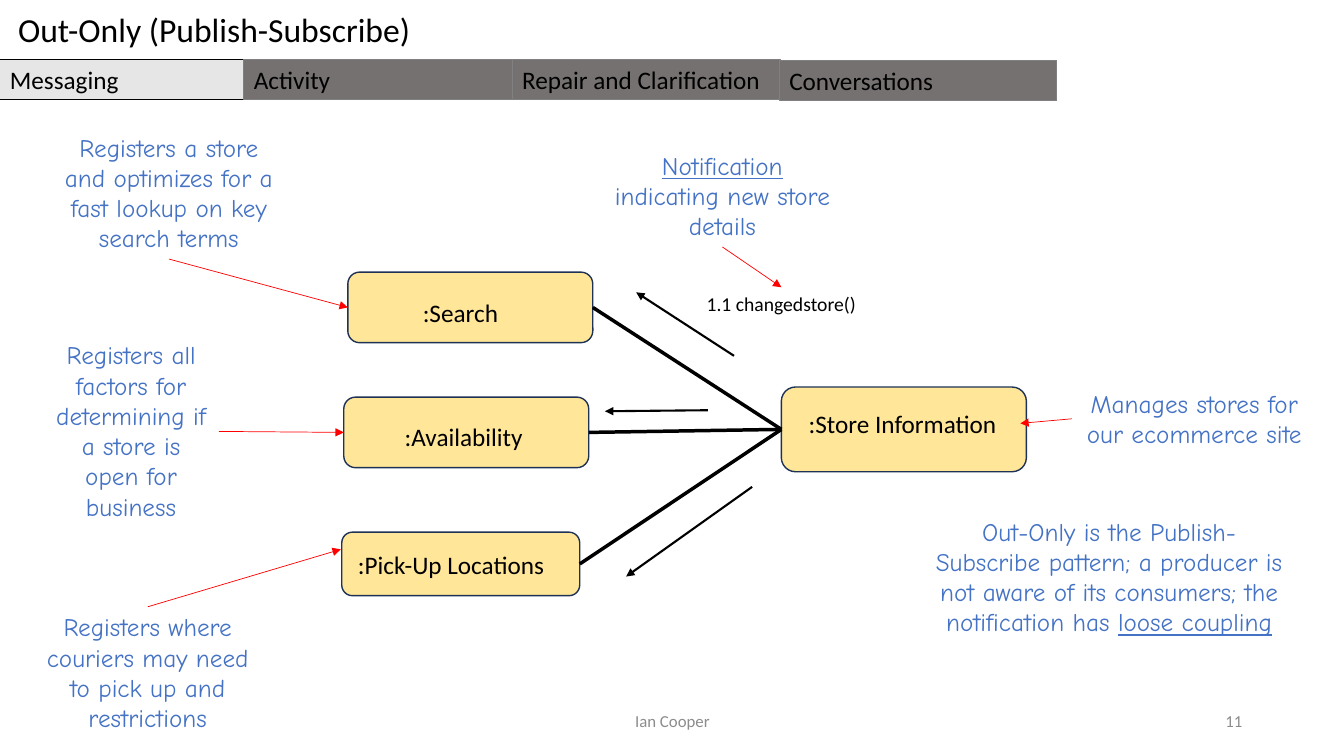
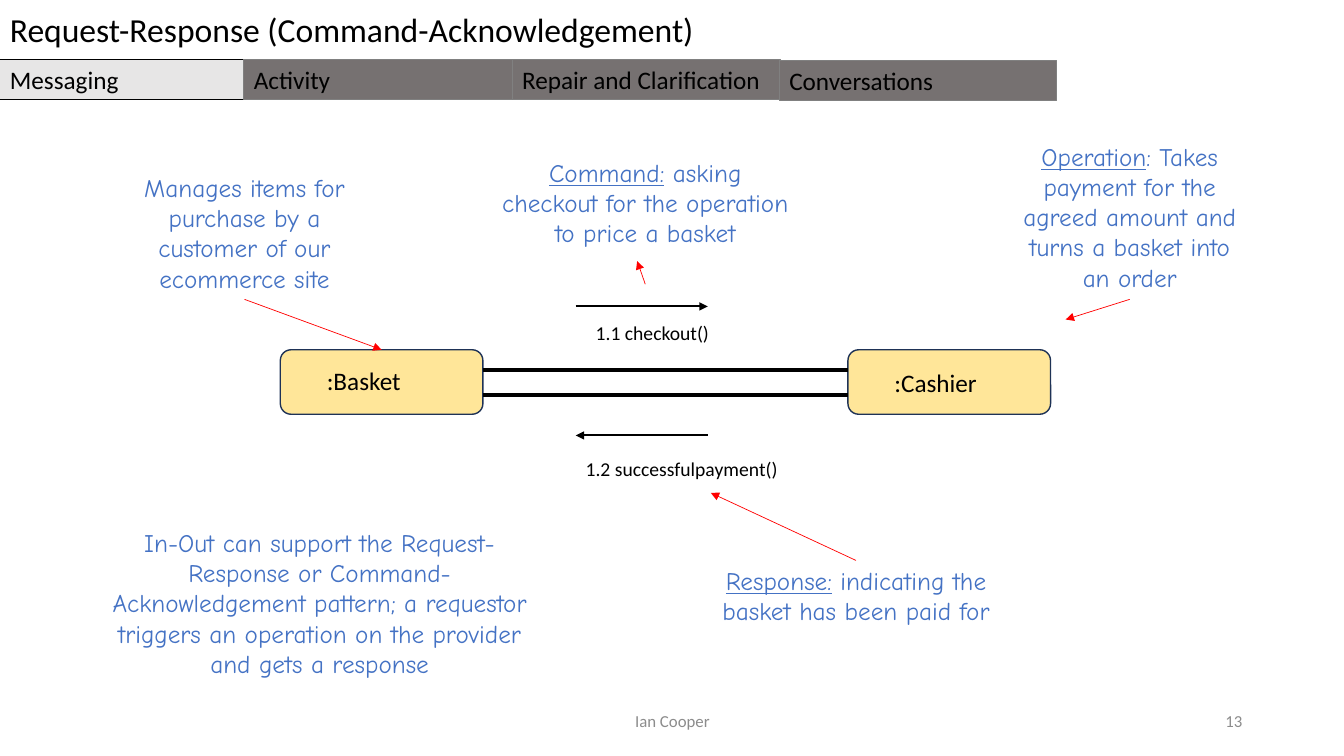
import pptx
import pptx.util
import pptx.dml.color
import pptx.enum.shapes
import pptx.enum.text
import pptx.oxml
import pptx.oxml.ns

Inches = pptx.util.Inches
Pt = pptx.util.Pt
colour = pptx.dml.color.RGBColor.from_string
Shape = pptx.enum.shapes.MSO_SHAPE
Align = pptx.enum.text.PP_ALIGN
Anchor = pptx.enum.text.MSO_ANCHOR
TOP, LEFT, BOTTOM, RIGHT = range(4)

BLACK, WHITE, RED = "000000", "FFFFFF", "FF0000"
BOX_FILL, BOX_LINE = "FFE699", "1E3256"

STYLES = {
    "title": ({"name": "Calibri", "size": Pt(24)}, BLACK, Align.LEFT),
    "label": ({"name": "Calibri", "size": Pt(18)}, BLACK, Align.LEFT),
    "call": ({"name": "Calibri", "size": Pt(14)}, BLACK, Align.LEFT),
    "note": ({"name": "Comic Neue", "size": Pt(18)}, "4472C4", Align.CENTER),
    "author": ({"name": "Calibri", "size": Pt(12)}, "8C8C8C", Align.CENTER),
    "number": ({"name": "Calibri", "size": Pt(12)}, "8C8C8C", Align.RIGHT),
}
LINES = {
    "link": (BLACK, 2.5, False),
    "message": (BLACK, 1.5, True),
    "pointer": (RED, 0.5, True),
}
TABS = [
    ("Messaging", 0, 0.59, 2.43, "E7E6E6", BLACK),
    ("Activity", 2.42, 0.59, 2.66, "767171", "808080"),
    ("Repair and Clarification", 5.08, 0.59, 2.66, "767171", "808080"),
    ("Conversations", 7.73, 0.6, 2.75, "767171", "808080"),
]

SLIDES = [
    {
        "title": "Out-Only (Publish-Subscribe)",
        "title_indent": 0.18,
        "number": "11",
        "boxes": {
            ":Search": ((3.45, 2.7, 2.43, 0.7), (0.71, 0.22)),
            ":Availability": ((3.41, 3.94, 2.43, 0.7), (0.57, 0.21)),
            ":Pick-Up Locations": ((3.39, 5.28, 2.36, 0.63), (0.13, 0.14)),
            ":Store Information": ((7.75, 3.84, 2.43, 0.84), (0.23, 0.17)),
        },
        "calls": [("1.1 changedstore()", 6.91, 2.85)],
        "notes": {
            "search": ((0.46, 1.26, 2.43, 1.31), [
                ("Registers a store and optimizes for a fast lookup on key search terms", False)]),
            "availability": ((0.43, 3.32, 1.74, 1.92), [
                ("Registers all factors for determining if a store is open for business", False)]),
            "pick-up": ((0.25, 6.02, 2.43, 1.31), [
                ("Registers where couriers may need to pick up and restrictions", False)]),
            "store": ((10.63, 3.8, 2.43, 0.71), [
                ("Manages stores for our ecommerce site", False)]),
            "notification": ((5.95, 1.44, 2.43, 1.01), [
                ("Notification", True), (" indicating new store details", False)]),
            "pattern": ((9.17, 5.07, 3.66, 1.62), [
                ("Out-Only is the Publish-Subscribe pattern; a producer is not aware of its "
                 "consumers; the notification has ", False), ("loose coupling", True)]),
        },
        "lines": [
            ("link", (":Store Information", LEFT), (":Search", RIGHT)),
            ("link", (":Store Information", LEFT), (":Availability", RIGHT)),
            ("link", (":Store Information", LEFT), (":Pick-Up Locations", RIGHT)),
            ("message", (7.28, 3.53), (6.31, 2.9)),
            ("message", (7.02, 4.07), (6, 4.08)),
            ("message", (7.46, 4.83), (6.21, 5.72)),
            ("pointer", ("search", BOTTOM), (":Search", LEFT)),
            ("pointer", ("availability", RIGHT), (":Availability", LEFT)),
            ("pointer", ("pick-up", TOP), (3.38, 5.45)),
            ("pointer", ("store", LEFT), (10.12, 4.2)),
            ("pointer", ("notification", BOTTOM), (7.75, 2.85)),
        ],
    },
    {
        "title": "Request-Response (Command-Acknowledgement)",
        "title_indent": 0.1,
        "number": "13",
        "boxes": {
            ":Basket": ((2.78, 3.47, 2.01, 0.64), (0.43, 0.12)),
            ":Cashier": ((8.41, 3.47, 2.01, 0.64), (0.43, 0.14)),
        },
        "calls": [("1.1 checkout()", 5.81, 3.13), ("1.2 successfulpayment()", 5.71, 4.48)],
        "notes": {
            "basket": ((1.21, 1.66, 2.43, 1.31), [
                ("Manages items for purchase by a customer of our ecommerce site", False)]),
            "command": ((4.88, 1.51, 3.04, 1.31), [
                ("Command:", True),
                (" asking checkout for the operation to price a basket", False)]),
            "operation": ((9.99, 1.35, 2.43, 1.62), [
                ("Operation", True),
                (": Takes payment for the agreed amount and turns a basket into an order", False)]),
            "response": ((6.99, 5.56, 3, 1.01), [
                ("Response:", True), (" indicating the basket has been paid for", False)]),
            "pattern": ((0.92, 5.18, 4.5, 1.62), [
                ("In-Out can support the Request-Response or Command-Acknowledgement pattern; "
                 "a requestor triggers an operation on the provider and gets a response", False)]),
        },
        "lines": [
            ("link", (4.79, 3.67), (8.41, 3.67)),
            ("link", (4.79, 3.92), (8.41, 3.92)),
            ("message", (5.71, 3.04), (7.02, 3.04)),
            ("message", (7.02, 4.32), (5.71, 4.32)),
            ("pointer", ("basket", BOTTOM), (":Basket", TOP)),
            ("pointer", ("command", BOTTOM), (6.32, 2.59)),
            ("pointer", ("operation", BOTTOM), (10.57, 3.17)),
            ("pointer", ("response", TOP), (7.05, 4.89)),
        ],
    },
]


def add_text(shape, runs, style, **frame_format):
    font_format, text_colour, alignment = STYLES[style]
    frame = shape.text_frame
    for key, value in {"word_wrap": True, "vertical_anchor": Anchor.TOP, **frame_format}.items():
        setattr(frame, key, value)
    paragraph = frame.paragraphs[0]
    paragraph.alignment = alignment
    for text, underlined in runs:
        run = paragraph.add_run()
        run.text = text
        for key, value in {**font_format, "underline": underlined}.items():
            setattr(run.font, key, value)
        run.font.color.rgb = colour(text_colour)


def add_panel(slide, kind, place, fill, line=None, width=1):
    panel = slide.shapes.add_shape(kind, *map(Inches, place))
    panel.shadow.inherit = False
    panel.fill.solid()
    panel.fill.fore_color.rgb = colour(fill)
    if line:
        panel.line.color.rgb = colour(line)
        panel.line.width = Pt(width)
    else:
        panel.line.fill.background()
    return panel


deck = pptx.Presentation()
deck.slide_width = Inches(13.33)
deck.slide_height = Inches(7.5)

for content in SLIDES:
    slide = deck.slides.add_slide(deck.slide_layouts[6])
    parts = {}

    title = add_panel(slide, Shape.RECTANGLE, (0, -0.01, 13.33, 0.61), WHITE)
    add_text(title, [(content["title"], False)], "title",
             margin_left=Inches(content["title_indent"]),
             margin_top=Inches(0.1), margin_bottom=Inches(0.1))

    for style, text, left, width in (("author", "Ian Cooper", 4.42, 4.5),
                                     ("number", content["number"], 9.42, 3)):
        footer = slide.shapes.add_textbox(*map(Inches, (left, 6.95, width, 0.4)))
        add_text(footer, [(text, False)], style, vertical_anchor=Anchor.MIDDLE)

    for text, left, top, width, fill, line in TABS:
        tab = add_panel(slide, Shape.RECTANGLE, (left, top, width, 0.4), fill, line, 0.75)
        add_text(tab, [(text, False)], "label")

    for text, (place, (indent, drop)) in content["boxes"].items():
        parts[text] = add_panel(slide, Shape.ROUNDED_RECTANGLE, place, BOX_FILL, BOX_LINE)
        add_text(parts[text], [(text, False)], "label", margin_left=Inches(indent),
                 margin_top=Inches(drop), margin_right=0, margin_bottom=0)

    for text, left, top in content["calls"]:
        call = slide.shapes.add_textbox(*map(Inches, (left, top, 2.2, 0.34)))
        add_text(call, [(text, False)], "call")

    for topic, (place, runs) in content["notes"].items():
        parts[topic] = slide.shapes.add_textbox(*map(Inches, place))
        add_text(parts[topic], runs, "note")

    for style, start, end in content["lines"]:
        line_colour, width, has_arrow = LINES[style]
        points = [(0, 0) if isinstance(point[0], str) else point for point in (start, end)]
        line = slide.shapes.add_connector(
            pptx.enum.shapes.MSO_CONNECTOR.STRAIGHT,
            *[Inches(value) for point in points for value in point])
        for point, join in ((start, line.begin_connect), (end, line.end_connect)):
            if isinstance(point[0], str):
                join(parts[point[0]], point[1])
        line.line.color.rgb = colour(line_colour)
        line.line.width = Pt(width)
        if has_arrow:
            stroke = line.line._get_or_add_ln()
            stroke.append(pptx.oxml.parse_xml(
                '<a:tailEnd %s type="triangle"/>' % pptx.oxml.ns.nsdecls("a")))
        line._element.spPr.append(pptx.oxml.parse_xml(
            "<a:effectLst %s/>" % pptx.oxml.ns.nsdecls("a")))

deck.save("out.pptx")
